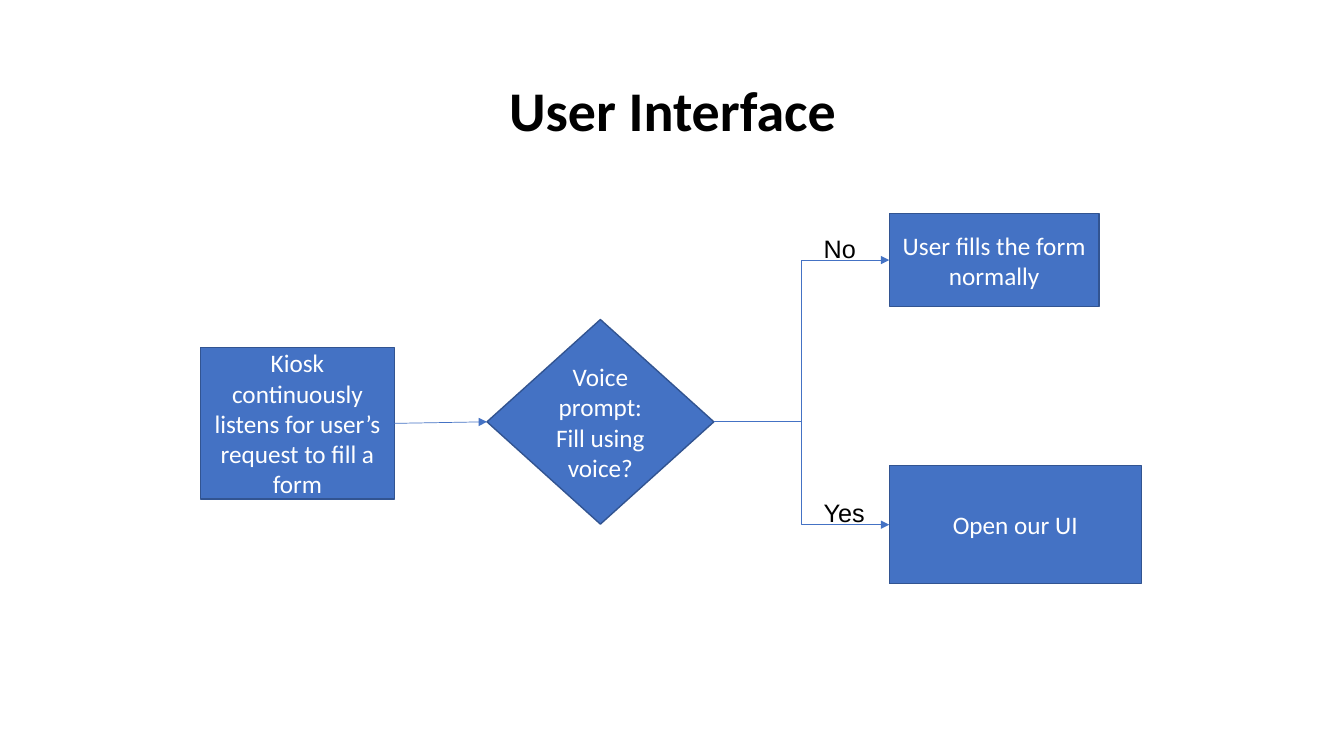
from lxml.etree import SubElement
from pptx import Presentation
from pptx.dml.color import RGBColor
from pptx.enum.shapes import MSO_CONNECTOR, MSO_SHAPE
from pptx.enum.text import MSO_ANCHOR, PP_ALIGN
from pptx.oxml.ns import qn
from pptx.util import Inches, Pt

BLUE = RGBColor(0x44, 0x72, 0xC4)
DARK_BLUE = RGBColor(0x32, 0x54, 0x91)
WHITE = RGBColor(0xFF, 0xFF, 0xFF)
BLACK = RGBColor(0x00, 0x00, 0x00)

LEFT_SIDE, RIGHT_SIDE = 1, 3  # connection sites

presentation = Presentation()
presentation.slide_width = Inches(13.33)
presentation.slide_height = Inches(7.5)
slide = presentation.slides.add_slide(presentation.slide_layouts[6])


def write(frame, text, size, font_name, color):
    frame.word_wrap = True
    paragraph = frame.paragraphs[0]
    paragraph.text = text
    paragraph.font.size = Pt(size)
    paragraph.font.name = font_name
    paragraph.font.color.rgb = color
    return paragraph


def add_step(kind, left, top, width, height, text):
    step = slide.shapes.add_shape(
        kind, Inches(left), Inches(top), Inches(width), Inches(height))
    step.shadow.inherit = False
    step.fill.solid()
    step.fill.fore_color.rgb = BLUE
    step.line.color.rgb = DARK_BLUE
    step.line.width = Pt(1)
    step.text_frame.vertical_anchor = MSO_ANCHOR.MIDDLE
    write(step.text_frame, text, 18, "Calibri", WHITE).alignment = PP_ALIGN.CENTER
    return step


# Title
title = slide.shapes.add_textbox(
    Inches(0.92), Inches(0.4), Inches(11.5), Inches(1.45))
title.text_frame.vertical_anchor = MSO_ANCHOR.MIDDLE
heading = write(title.text_frame, "User Interface", 40, "Calibri", BLACK)
heading.font.bold = True
heading.alignment = PP_ALIGN.CENTER
heading.line_spacing = 0.9

# Flowchart steps
PROCESS = MSO_SHAPE.FLOWCHART_PROCESS
listening = add_step(PROCESS, 1.99, 3.45, 1.92, 1.5,
                     "Kiosk continuously listens for user’s request to fill a form")
voice_prompt = add_step(MSO_SHAPE.FLOWCHART_DECISION, 4.83, 3.17, 2.25, 2.03,
                        "Voice prompt:\vFill using voice?")
manual_form = add_step(PROCESS, 8.82, 2.12, 2.08, 0.92,
                       "User fills the form normally")
open_ui = add_step(PROCESS, 8.82, 4.62, 2.5, 1.17, "Open our UI")

# Arrows between the steps
for kind, source, target in [
    (MSO_CONNECTOR.STRAIGHT, listening, voice_prompt),
    (MSO_CONNECTOR.ELBOW, voice_prompt, manual_form),
    (MSO_CONNECTOR.ELBOW, voice_prompt, open_ui),
]:
    arrow = slide.shapes.add_connector(kind, 0, 0, 0, 0)
    arrow.begin_connect(source, RIGHT_SIDE)
    arrow.end_connect(target, LEFT_SIDE)
    arrow.line.color.rgb = BLUE
    arrow.line.width = Pt(0.5)
    SubElement(arrow.line._get_or_add_ln(), qn("a:tailEnd"), type="triangle")
    SubElement(arrow._element.spPr, qn("a:effectLst"))

# Branch labels
for answer, top, width in [("No", 2.27, 0.59), ("Yes", 4.88, 0.75)]:
    label = slide.shapes.add_textbox(
        Inches(8.07), Inches(top), Inches(width), Inches(0.4))
    write(label.text_frame, answer, 18, "Arial", BLACK)

presentation.save("out.pptx")
